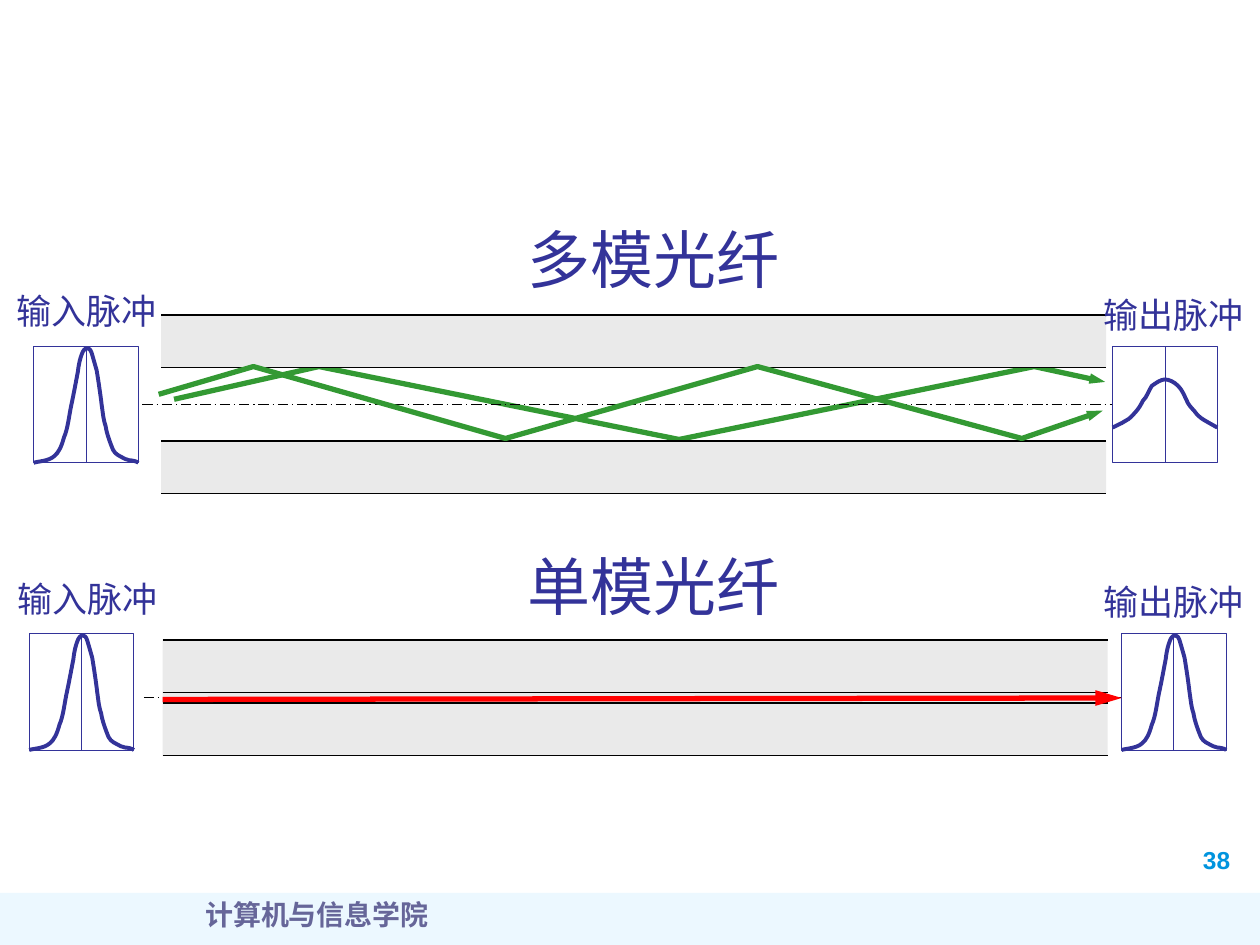
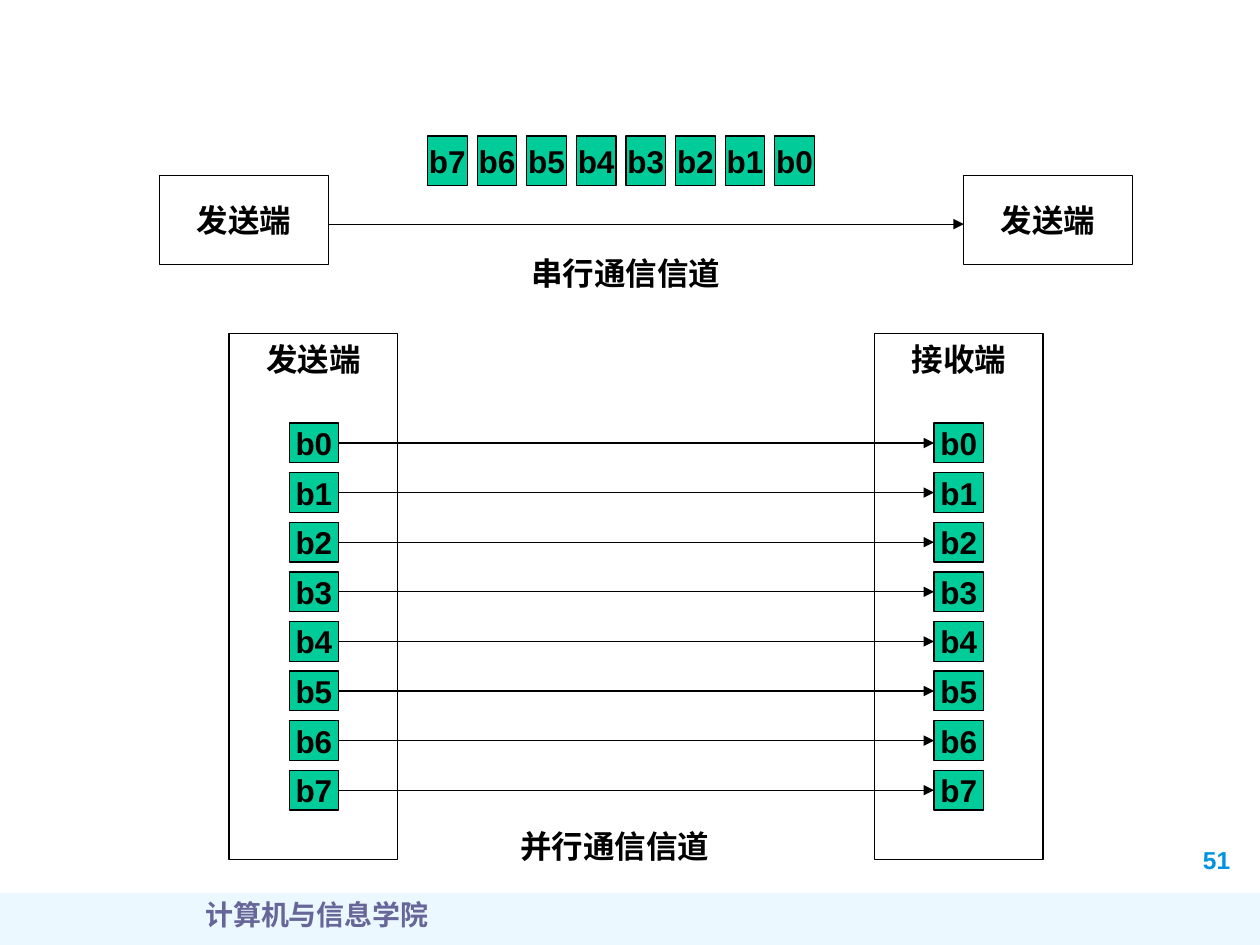
import pptx
import pptx.dml.color
import pptx.enum.shapes
import pptx.enum.text
import pptx.oxml.ns
import pptx.util
from lxml import etree
from pptx.util import Cm

BLACK, WHITE, INDIGO = "000000", "FFFFFF", "333399"
GLASS, RAY_GREEN, RAY_RED, BIT_GREEN = "EAEAEA", "339933", "FF0000", "00CC99"
BAND_BLUE, NUMBER_BLUE, FOOTER_GREY = "A7E2FF", "0094DE", "666699"
CENTER = pptx.enum.text.PP_ALIGN.CENTER
TOP, MIDDLE = pptx.enum.text.MSO_ANCHOR.TOP, pptx.enum.text.MSO_ANCHOR.MIDDLE

FRAME_WIDTH, FRAME_HEIGHT = 2.11, 2.34
FIBRE_WIDTH, CLADDING = 19.05, 1.06
BIT_LONG, BIT_SHORT, BIT_PITCH = 1, 0.8, 1

# Start point, then two control points and an end point for each curve piece (cm in the frame)
NARROW_PULSE = [
    (0, 2.34),
    (0.08, 2.31), (0.3, 2.31), (0.41, 2.21),
    (0.51, 2.13), (0.56, 2.01), (0.61, 1.83),
    (0.69, 1.65), (0.71, 1.4), (0.76, 1.17),
    (0.81, 0.94), (0.86, 0.66), (0.89, 0.51),
    (0.91, 0.33), (0.94, 0.23), (0.97, 0.15),
    (0.99, 0.08), (1.04, 0.03), (1.07, 0.03),
    (1.12, 0.03), (1.14, 0.05), (1.17, 0.13),
    (1.19, 0.2), (1.22, 0.3), (1.27, 0.48),
    (1.3, 0.66), (1.35, 0.99), (1.37, 1.17),
    (1.4, 1.37), (1.4, 1.45), (1.45, 1.6),
    (1.47, 1.75), (1.55, 1.96), (1.6, 2.08),
    (1.65, 2.18), (1.75, 2.21), (1.8, 2.24),
    (1.88, 2.29), (1.88, 2.26), (1.93, 2.29),
    (1.98, 2.29), (2.08, 2.31), (2.11, 2.34),
]
WIDE_PULSE = [
    (0, 1.63),
    (0.05, 1.6), (0.18, 1.55), (0.25, 1.5),
    (0.36, 1.45), (0.41, 1.37), (0.46, 1.32),
    (0.53, 1.24), (0.56, 1.19), (0.61, 1.09),
    (0.69, 1.02), (0.74, 0.86), (0.79, 0.79),
    (0.86, 0.74), (0.97, 0.66), (1.05, 0.66),
    (1.14, 0.66), (1.24, 0.71), (1.32, 0.79),
    (1.4, 0.86), (1.47, 1.04), (1.52, 1.14),
    (1.57, 1.22), (1.6, 1.24), (1.65, 1.3),
    (1.7, 1.37), (1.75, 1.42), (1.83, 1.47),
    (1.91, 1.52), (2.06, 1.6), (2.11, 1.63),
]
LOW_RAY = [(3.51, 8.05), (6.43, 7.39), (13.69, 8.86), (20.85, 7.39), (22.28, 7.7)]
STEEP_RAY = [(3.2, 7.95), (5.11, 7.39), (10.19, 8.84), (15.27, 7.39), (20.6, 8.84), (22.23, 8.28)]


def rgb(color):
    return pptx.dml.color.RGBColor.from_string(color)


def set_line(line, color, width):
    line.color.rgb = rgb(color)
    line.width = pptx.util.Pt(width)


def add_arrowhead(shape, width="med", length="med"):
    outline = shape.element.spPr.find(pptx.oxml.ns.qn("a:ln"))
    etree.SubElement(outline, pptx.oxml.ns.qn("a:tailEnd"), type="triangle", w=width, len=length)


def write(shape, text, size, color, font="Arial", bold=False, align=None, anchor=TOP, wrap=False):
    frame = shape.text_frame
    frame.word_wrap = wrap
    frame.vertical_anchor = anchor
    para = frame.paragraphs[0]
    para.text = text
    para.alignment = align
    para.font.name = font
    para.font.size = pptx.util.Pt(size)
    para.font.bold = bold
    para.font.color.rgb = rgb(color)


def add_text(page, left, top, width, height, text, size, color, **style):
    box = page.shapes.add_textbox(Cm(left), Cm(top), Cm(width), Cm(height))
    write(box, text, size, color, **style)


def add_rect(page, left, top, width, height, fill=None, line=None, line_width=0.75):
    rect = page.shapes.add_shape(
        pptx.enum.shapes.MSO_SHAPE.RECTANGLE, Cm(left), Cm(top), Cm(width), Cm(height))
    rect.shadow.inherit = False
    if fill:
        rect.fill.solid()
        rect.fill.fore_color.rgb = rgb(fill)
    else:
        rect.fill.background()
    if line:
        set_line(rect.line, line, line_width)
    else:
        rect.line.fill.background()
    return rect


def add_line(page, x1, y1, x2, y2, color=BLACK, width=0.75):
    line = page.shapes.add_connector(
        pptx.enum.shapes.MSO_CONNECTOR.STRAIGHT, Cm(x1), Cm(y1), Cm(x2), Cm(y2))
    set_line(line.line, color, width)
    etree.SubElement(line.element.spPr, pptx.oxml.ns.qn("a:effectLst"))
    return line


def add_open_outline(page, points, color, width):
    corners = [(Cm(x), Cm(y)) for x, y in points]
    builder = page.shapes.build_freeform(*corners[0])
    builder.add_line_segments(corners[1:], close=False)
    outline = builder.convert_to_shape()
    outline.shadow.inherit = False
    outline.fill.background()
    set_line(outline.line, color, width)
    return outline


def bend(outline):
    """Turn every three straight segments into one cubic curve."""
    segments = list(outline.element.iter(pptx.oxml.ns.qn("a:lnTo")))
    parent = segments[0].getparent()
    for first in range(0, len(segments), 3):
        curve = etree.SubElement(parent, pptx.oxml.ns.qn("a:cubicBezTo"))
        for segment in segments[first:first + 3]:
            curve.append(segment[0])
            parent.remove(segment)


def add_ray(page, points):
    add_arrowhead(add_open_outline(page, points, RAY_GREEN, 3), width="sm")


def add_pulse(page, left, top, curve):
    add_rect(page, left, top, FRAME_WIDTH, FRAME_HEIGHT, WHITE, INDIGO, 0.5)
    middle = left + FRAME_WIDTH / 2
    add_line(page, middle, top, middle, top + FRAME_HEIGHT, INDIGO, 0.5)
    bend(add_open_outline(page, [(left + x, top + y) for x, y in curve], INDIGO, 2.25))


def add_pulse_label(page, left, top, text):
    add_text(page, left, top, 3.33, 1.09, text, 20, INDIGO, font="Noto Sans CJK SC")


def add_fibre(page, left, top, core, core_fill=None):
    """Draw two claddings around a core, their edges and the dashed axis."""
    lower = top + CLADDING + core
    if core_fill:
        add_rect(page, left, top + CLADDING, FIBRE_WIDTH, core, core_fill)
    for cladding_top in (top, lower):
        add_rect(page, left, cladding_top, FIBRE_WIDTH, CLADDING, GLASS)
        for edge in (cladding_top, cladding_top + CLADDING):
            add_line(page, left, edge, left + FIBRE_WIDTH, edge)
    axis_y = top + CLADDING + core / 2
    axis = add_line(page, left - 0.38, axis_y, left + FIBRE_WIDTH + 0.3, axis_y)
    axis.line.dash_style = pptx.enum.dml.MSO_LINE.LONG_DASH_DOT


def add_fibre_title(page, top, text):
    add_text(page, 10.39, top, 5.59, 1.78, text, 36, INDIGO)


def add_station(page, left, top, height, text, anchor):
    station = add_rect(page, left, top, 3.4, height, line=BLACK)
    write(station, text, 18, BLACK, bold=True, align=CENTER, anchor=anchor)


def add_bit(page, left, top, width, height, number):
    bit = add_rect(page, left, top, width, height, BIT_GREEN, BLACK)
    write(bit, f"b{number}", 18, BLACK, bold=True, align=CENTER, anchor=MIDDLE)
    return bit


def add_caption(page, left, top, text):
    add_text(page, left, top, 5.8, 1.02, text, 18, BLACK, bold=True, wrap=True)


def add_page(deck, number):
    """Add a blank slide with the footer band, department and page number."""
    page = deck.slides.add_slide(deck.slide_layouts[6])
    band = add_rect(page, 0, 18, 25.4, 1.05, BAND_BLUE)
    band_color = next(band.element.spPr.iter(pptx.oxml.ns.qn("a:srgbClr")))
    etree.SubElement(band_color, pptx.oxml.ns.qn("a:alpha"), val="21000")
    add_text(page, 24, 16.92, 1.5, 0.84, number, 14, NUMBER_BLUE, bold=True, wrap=True)
    add_text(page, 0.69, 17.96, 11.4, 1.09, "计算机与信息学院", 16, FOOTER_GREY,
             font="Times New Roman", bold=True, align=CENTER, wrap=True)
    return page


def build_fibre_page(deck):
    page = add_page(deck, "38")

    add_fibre(page, 3.28, 12.9, 0.21, GLASS)
    add_pulse(page, 0.59, 12.78, NARROW_PULSE)
    add_pulse(page, 22.61, 12.78, NARROW_PULSE)
    add_pulse_label(page, 0.1, 11.51, "输入脉冲")
    add_pulse_label(page, 22, 11.58, "输出脉冲")
    add_fibre_title(page, 10.92, "单模光纤")
    red_ray = add_line(page, 3.28, 14.1, 22.61, 14.07, RAY_RED, 3)
    add_arrowhead(red_ray, length="lg")

    add_ray(page, LOW_RAY)
    add_fibre(page, 3.25, 6.35, 1.48)
    add_pulse(page, 0.68, 6.99, NARROW_PULSE)
    add_pulse(page, 22.43, 6.99, WIDE_PULSE)
    add_pulse_label(page, 0.08, 5.72, "输入脉冲")
    add_pulse_label(page, 22, 5.79, "输出脉冲")
    add_ray(page, STEEP_RAY)
    add_fibre_title(page, 4.32, "多模光纤")


def build_channel_page(deck):
    page = add_page(deck, "51")

    for left in (3.22, 19.43):
        add_station(page, left, 3.54, 1.8, "发送端", MIDDLE)
    add_arrowhead(add_line(page, 6.62, 4.52, 19.43, 4.52))
    for number in range(8):
        add_bit(page, 8.62 + (7 - number) * BIT_PITCH, 2.74, BIT_SHORT, BIT_LONG, number)
    add_caption(page, 10.46, 5, "串行通信信道")

    add_station(page, 4.62, 6.73, 10.6, "发送端", TOP)
    add_station(page, 17.63, 6.73, 10.6, "接收端", TOP)
    for number in range(8):
        top = 8.53 + number * BIT_PITCH
        sent, received = [add_bit(page, left, top, BIT_LONG, BIT_SHORT, number)
                          for left in (5.83, 18.83)]
        wire = add_line(page, 6.83, top, 18.83, top)
        wire.begin_connect(sent, 3)
        wire.end_connect(received, 1)
        add_arrowhead(wire)
    add_caption(page, 10.24, 16.54, "并行通信信道")


def main():
    deck = pptx.Presentation()
    deck.slide_width, deck.slide_height = Cm(25.4), Cm(19.05)
    build_fibre_page(deck)
    build_channel_page(deck)
    deck.save("out.pptx")


if __name__ == "__main__":
    main()
